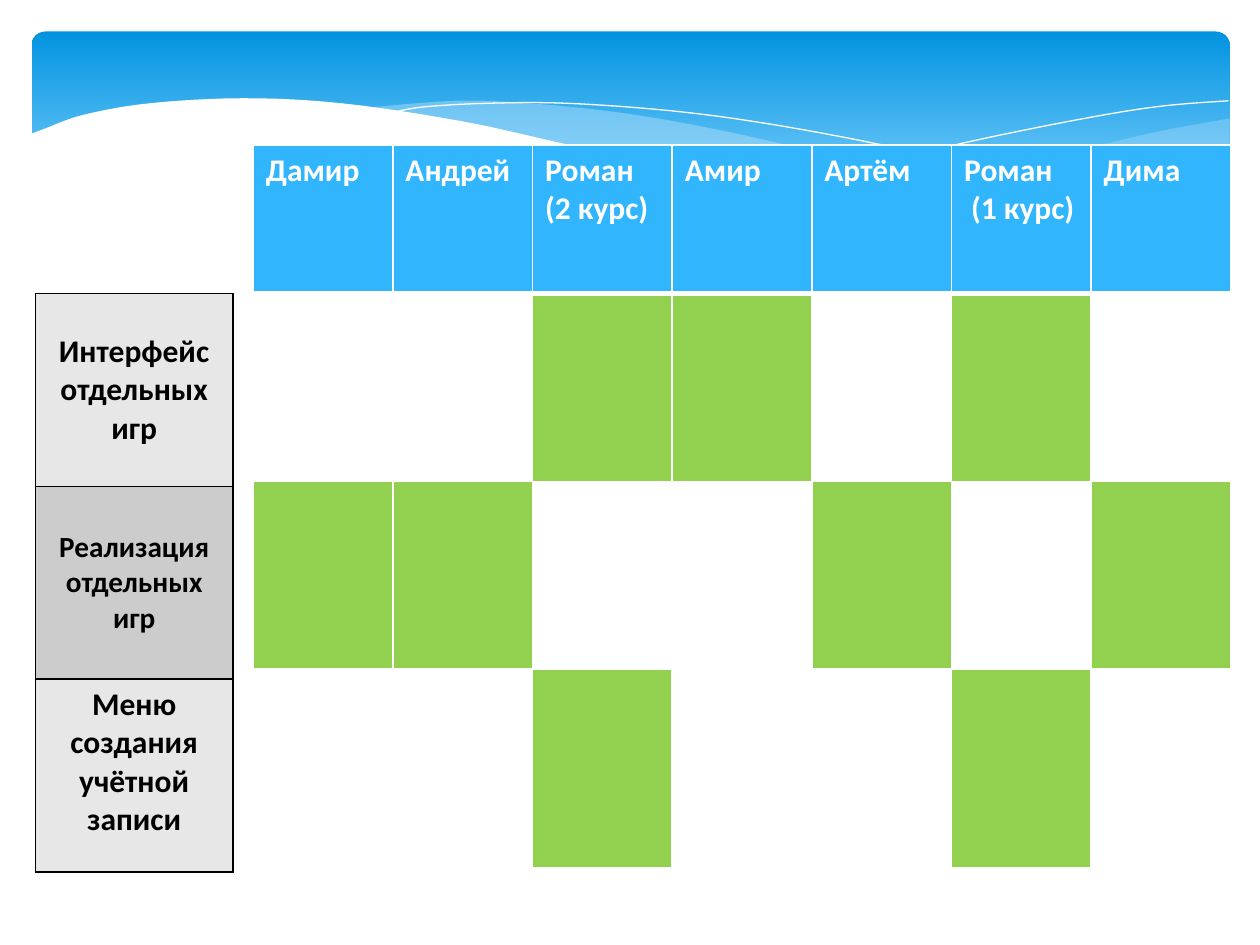
from dataclasses import dataclass

from lxml.etree import SubElement
from pptx import Presentation
from pptx.dml.color import RGBColor
from pptx.enum.shapes import MSO_SHAPE as Shape
from pptx.enum.text import MSO_ANCHOR as Anchor, PP_ALIGN as Align
from pptx.oxml.ns import qn
from pptx.util import Inches, Pt


@dataclass(frozen=True)
class Theme:
    font: str = "Calibri"
    size: float = 18
    small: float = 16.7
    white: str = "FFFFFF"
    black: str = "000000"
    sky_top: str = "0293E0"
    sky_low: str = "83D3FE"
    wave: str = "C6E7FC"
    header: str = "31B6FD"
    done: str = "92D050"
    pale: str = "E7E7E7"
    grey: str = "CCCCCC"


THEME = Theme()

# Wave edges as offsets in inches from the corner of the banner
RIGHT_WAVE = [
    [(9.51, 0.69), (8.96, 0.79), (8.36, 0.93), (7.54, 1.12), (6.36, 1.35)],
    [(6.36, 1.35), (7.07, 1.43), (7.78, 1.47), (8.38, 1.45), (8.88, 1.37),
     (9.24, 1.27), (9.51, 1.16)],
]
MIDDLE_WAVE = [
    [(8.68, 1.42), (7.82, 1.29), (6.81, 1.09), (6.04, 0.91), (5.3, 0.75),
     (4.64, 0.64), (3.95, 0.57), (3.36, 0.55), (2.61, 0.61)],
    [(2.61, 0.61), (3.37, 0.72), (4.24, 0.91), (5.41, 1.18), (6.25, 1.33),
     (7.11, 1.43), (7.82, 1.48), (8.32, 1.46), (8.68, 1.42)],
]
LONG_LINE = [
    [(2.84, 0.65), (3.1, 0.6), (3.62, 0.57), (4.25, 0.57), (5.08, 0.63),
     (5.83, 0.73), (6.7, 0.89), (7.7, 1.11), (8.82, 1.41)],
]
SHORT_LINE = [
    [(5.88, 1.26), (6.7, 1.05), (7.51, 0.86), (8.41, 0.68), (8.99, 0.59),
     (9.5, 0.55)],
]
WHITE_HILL = [
    [(9.52, 1.16), (8.95, 1.34), (8.25, 1.45), (7.53, 1.46), (6.63, 1.37),
     (5.54, 1.19), (4.22, 0.89), (3.4, 0.71), (2.46, 0.57), (1.68, 0.53),
     (0.94, 0.57), (0.42, 0.66), (0.11, 0.77), (-0.02, 0.82)],
    [(-0.02, 0.82), (-0.02, 1.99)],
    [(-0.02, 1.99), (9.52, 1.99)],
]

PEOPLE = ["Дамир", "Андрей", "Роман\v(2 курс)", "Амир", "Артём",
          "Роман\v (1 курс)", "Дима"]
ASSIGNED = [{2, 3, 5}, {0, 1, 4, 6}, {2, 5}]
TASKS = [
    ("Интерфейс отдельных игр", THEME.size, THEME.pale, Anchor.MIDDLE),
    ("Реализация отдельных игр", THEME.small, THEME.grey, Anchor.MIDDLE),
    ("Меню создания учётной записи", THEME.size, THEME.pale, Anchor.TOP),
]


def rgb(value):
    return RGBColor.from_string(value)


def smooth_curve(points, steps=6):
    """Catmull-Rom curve through the points."""
    padded = [points[0], *points, points[-1]]
    curve = [points[0]]
    for a, b, c, d in zip(padded, padded[1:], padded[2:], padded[3:]):
        for step in range(1, steps + 1):
            t = step / steps
            curve.append(tuple(
                q + t / 2 * (r - p + t * (2 * p - 5 * q + 4 * r - s
                                          + t * (3 * (q - r) + s - p)))
                for p, q, r, s in zip(a, b, c, d)))
    return curve


def add_wave(page, left, top, edges, fill=None, opacity=100):
    """Filled wave, or a thin white line when no fill is given."""
    points = [(Inches(left + x), Inches(top + y))
              for edge in edges for x, y in smooth_curve(edge)]
    builder = page.shapes.build_freeform(*points[0])
    builder.add_line_segments(points[1:], close=fill is not None)
    wave = builder.convert_to_shape()
    wave.shadow.inherit = False
    if fill is None:
        wave.fill.background()
        wave.line.color.rgb = rgb(THEME.white)
        wave.line.width = Pt(0)
        return
    wave.line.fill.background()
    wave.fill.solid()
    wave.fill.fore_color.rgb = rgb(fill)
    if opacity < 100:
        color = wave.fill._xPr.find(".//" + qn("a:srgbClr"))
        SubElement(color, qn("a:alpha"), val=str(opacity * 1000))


def add_banner(page, left, top, width, height):
    box = page.shapes.add_shape(Shape.ROUNDED_RECTANGLE, Inches(left),
                                Inches(top), Inches(width), Inches(height))
    box.adjustments[0] = 0.071
    box.shadow.inherit = False
    box.line.fill.background()
    box.fill.gradient()
    box.fill.gradient_angle = 270
    stops = [(0, THEME.sky_top), (0.9, THEME.sky_low)]
    for stop, (position, color) in zip(box.fill.gradient_stops, stops):
        stop.position = position
        stop.color.rgb = rgb(color)

    add_wave(page, left, top, RIGHT_WAVE, THEME.wave, 29)
    add_wave(page, left, top, MIDDLE_WAVE, THEME.wave, 40)
    add_wave(page, left, top, LONG_LINE)
    add_wave(page, left, top, SHORT_LINE)
    add_wave(page, left, top, WHITE_HILL, THEME.white)


def add_grid(page, left, top, width, row_heights, columns):
    """Plain table with equal columns."""
    frame = page.shapes.add_table(len(row_heights), columns, Inches(left),
                                  Inches(top), Inches(width),
                                  Inches(sum(row_heights)))
    table = frame.table
    table.first_row = table.horz_banding = False
    for column in table.columns:
        column.width = Inches(width / columns)
    for row, height in zip(table.rows, row_heights):
        row.height = Inches(height)
    return table


def style_cell(cell, fill, border, widths):
    """Borders come before the fill in the cell properties."""
    properties = cell._tc.get_or_add_tcPr()
    for side, width in zip("LRTB", widths):
        line = SubElement(properties, qn(f"a:ln{side}"), w=str(Pt(width)))
        SubElement(SubElement(line, qn("a:solidFill")), qn("a:srgbClr"),
                   val=border)
    cell.fill.solid()
    cell.fill.fore_color.rgb = rgb(fill)


def write_cell(cell, text, color, size=THEME.size, align=Align.LEFT):
    cell.text = text
    para = cell.text_frame.paragraphs[0]
    para.alignment = align
    formats = {"name": THEME.font, "size": Pt(size), "bold": True}
    for span in para.runs:
        for name, value in formats.items():
            setattr(span.font, name, value)
        span.font.color.rgb = rgb(color)


def add_assignments(page, left, top, width, row_heights):
    table = add_grid(page, left, top, width, row_heights, len(PEOPLE))
    for column, person in enumerate(PEOPLE):
        header = table.cell(0, column)
        style_cell(header, THEME.header, THEME.white, (1, 1, 1, 3))
        write_cell(header, person, THEME.white)
        for row, done in enumerate(ASSIGNED, start=1):
            fill = THEME.done if column in done else THEME.white
            upper = 3 if row == 1 else 1
            style_cell(table.cell(row, column), fill, THEME.white,
                       (1, 1, upper, 1))


def add_tasks(page, left, top, width, row_height):
    table = add_grid(page, left, top, width, [row_height] * len(TASKS), 1)
    for row, (text, size, fill, anchor) in enumerate(TASKS):
        cell = table.cell(row, 0)
        style_cell(cell, fill, THEME.black, (1, 1, 1, 1))
        write_cell(cell, text, THEME.black, size, Align.CENTER)
        cell.vertical_anchor = anchor


def main():
    deck = Presentation()
    deck.slide_width, deck.slide_height = Inches(10), Inches(7.5)
    page = deck.slides.add_slide(deck.slide_layouts[6])
    add_banner(page, 0.25, 0.25, 9.51, 1.56)
    add_assignments(page, 2.01, 1.15, 7.76, [1.18, 1.49, 1.49, 1.58])
    add_tasks(page, 0.28, 2.33, 1.57, 1.53)
    deck.save("out.pptx")


if __name__ == "__main__":
    main()
